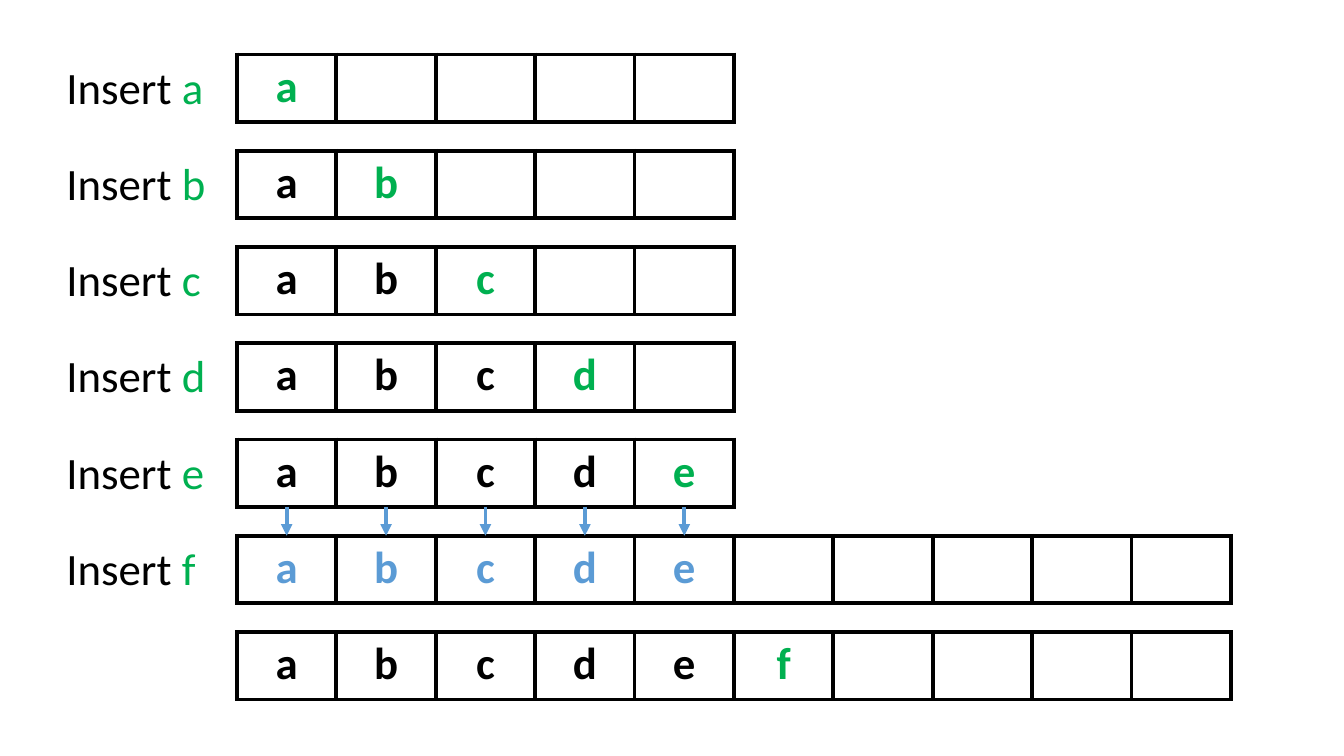
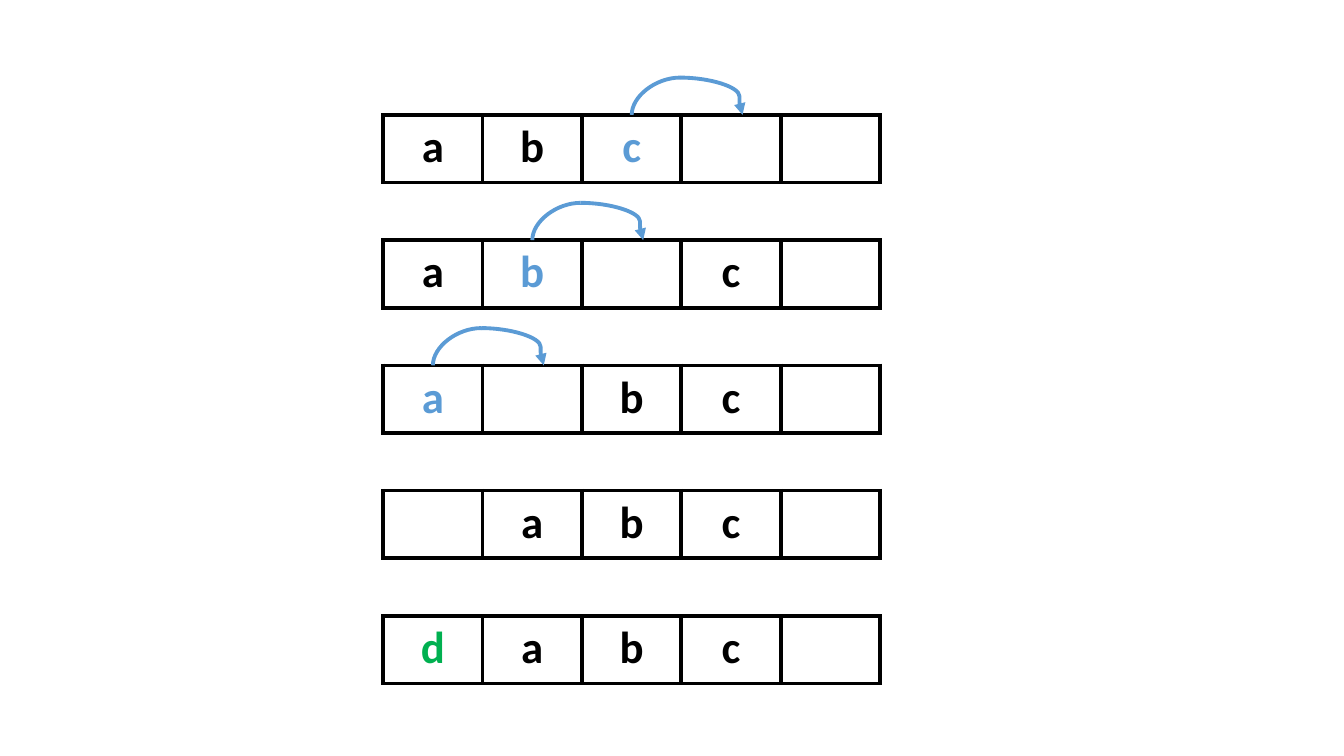
"""Draw how letters are inserted into an array, at its end and at its front."""
from dataclasses import dataclass

from lxml import etree
from pptx import Presentation
from pptx.dml.color import RGBColor
from pptx.enum.shapes import MSO_CONNECTOR
from pptx.enum.text import MSO_AUTO_SIZE, PP_ALIGN
from pptx.oxml.ns import qn
from pptx.util import Inches, Pt

LINE = MSO_CONNECTOR.STRAIGHT
CURVE = MSO_CONNECTOR.CURVE
CENTER = PP_ALIGN.CENTER
GROW = MSO_AUTO_SIZE.SHAPE_TO_FIT_TEXT


@dataclass(frozen=True)
class Theme:
    ink: RGBColor = RGBColor(0x00, 0x00, 0x00)
    paper: RGBColor = RGBColor(0xFF, 0xFF, 0xFF)
    new: RGBColor = RGBColor(0x00, 0xB0, 0x50)
    move: RGBColor = RGBColor(0x5B, 0x9B, 0xD5)
    font: str = "Calibri"
    size: Pt = Pt(32)
    border: Pt = Pt(3)
    stroke: Pt = Pt(2.75)


@dataclass(frozen=True)
class Row:
    cells: str
    mark: str = ""
    color: RGBColor = Theme.new
    label: str = ""


THEME = Theme()
EMPTY = "."
CELL = 4.93 / 5
HIGH = 0.67
RISE, PEAK, REACH = 0.37, 0.48, 1.10

APPEND = [
    Row("a....", "a", label="a"),
    Row("ab...", "b", label="b"),
    Row("abc..", "c", label="c"),
    Row("abcd.", "d", label="d"),
    Row("abcde", "e", label="e"),
    Row("abcde.....", "abcde", THEME.move, "f"),
    Row("abcdef....", "f"),
]
PREPEND = [
    Row("abc..", "c", THEME.move),
    Row("ab.c.", "b", THEME.move),
    Row("a.bc.", "a", THEME.move),
    Row(".abc."),
    Row("dabc.", "d"),
]


def style(run, color: RGBColor, bold: bool = False) -> None:
    font = run.font
    font.name, font.size, font.bold = THEME.font, THEME.size, bold
    font.color.rgb = color


def frame(cell) -> None:
    """Fill a cell and put a border on its four sides."""
    cell.fill.solid()
    cell.fill.fore_color.rgb = THEME.paper
    props = cell._tc.get_or_add_tcPr()
    for place, side in enumerate(("a:lnL", "a:lnR", "a:lnT", "a:lnB")):
        edge = etree.Element(qn(side), w=str(int(THEME.border)))
        fill = etree.SubElement(edge, qn("a:solidFill"))
        etree.SubElement(fill, qn("a:srgbClr"), val=str(THEME.ink))
        props.insert(place, edge)


def draw_row(slide, row: Row, left: float, top: float) -> None:
    """Draw one array as a table of equal cells."""
    count = len(row.cells)
    table = slide.shapes.add_table(
        1, count, Inches(left), Inches(top), Inches(CELL * count), Inches(HIGH)
    ).table
    table.first_row = table.horz_banding = False
    for col, letter in enumerate(row.cells):
        table.columns[col].width = Inches(CELL)
        cell = table.cell(0, col)
        frame(cell)
        if letter != EMPTY:
            para = cell.text_frame.paragraphs[0]
            para.text = letter
            para.alignment = CENTER
            color = row.color if letter in row.mark else THEME.ink
            style(para.runs[0], color, True)


def draw_label(slide, letter: str, top: float) -> None:
    """Name the letter that a row takes in."""
    box = slide.shapes.add_textbox(
        Inches(0.56), Inches(top), Inches(1.69), Inches(0.64)
    )
    text = box.text_frame
    text.word_wrap = True
    text.auto_size = GROW
    para = text.paragraphs[0]
    for part, color in (("Insert ", THEME.ink), (letter, THEME.new)):
        run = para.add_run()
        run.text = part
        style(run, color)


def link(slide, kind, x: float, y: float, to_x: float, to_y: float,
         head: bool = True):
    """Draw a connector, with an arrowhead if wanted."""
    line = slide.shapes.add_connector(
        kind, Inches(x), Inches(y), Inches(to_x), Inches(to_y)
    )
    line.line.color.rgb = THEME.move
    line.line.width = THEME.stroke
    if head:
        etree.SubElement(line.line._get_or_add_ln(), qn("a:tailEnd"), type="triangle")
    props = line._element.spPr
    etree.SubElement(props, qn("a:effectLst"))
    return props


def draw_hop(slide, x: float, top: float) -> None:
    """Draw the arc that carries a letter to the next cell."""
    crest = top - RISE
    fall = link(slide, CURVE, x + PEAK, crest, x + REACH, top)
    shape = fall.find(qn("a:prstGeom"))
    guides = shape.find(qn("a:avLst"))
    if guides is None:
        guides = etree.SubElement(shape, qn("a:avLst"))
    etree.SubElement(guides, qn("a:gd"), name="adj1", fmla="val 95000")

    mid_x, mid_y = x + PEAK / 2, top - RISE / 2
    climb = link(slide, CURVE, mid_x + RISE / 2, mid_y + PEAK / 2,
                 mid_x - RISE / 2, mid_y - PEAK / 2, head=False)
    climb.find(qn("a:prstGeom")).set("prst", "curvedConnector2")
    climb.find(qn("a:xfrm")).set("rot", "5400000")


def center(left: float, col: int) -> float:
    return left + CELL * (col + 0.5)


def draw_append(slide) -> None:
    """Show inserts at the end, with a move to a larger array."""
    left, first, step = 2.35, 0.54, 5.73 / 6
    for place, row in enumerate(APPEND):
        top = first + step * place
        draw_row(slide, row, left, top)
        if row.label:
            draw_label(slide, row.label, top)
        if row.color == THEME.move:
            for col in range(len(row.mark)):
                x = center(left, col)
                link(slide, LINE, x, top - step + HIGH, x, top)


def draw_prepend(slide) -> None:
    """Show an insert at the front, with each letter shifted by one."""
    left, first, step = 3.8, 1.14, 4.97 / 4
    for place, row in enumerate(PREPEND):
        top = first + step * place
        draw_row(slide, row, left, top)
        if row.color == THEME.move:
            draw_hop(slide, center(left, row.cells.index(row.mark)), top)


def main() -> None:
    deck = Presentation()
    deck.slide_width, deck.slide_height = Inches(13.33), Inches(7.5)
    blank = deck.slide_layouts[6]
    for draw in (draw_append, draw_prepend):
        draw(deck.slides.add_slide(blank))
    deck.save("out.pptx")


if __name__ == "__main__":
    main()
